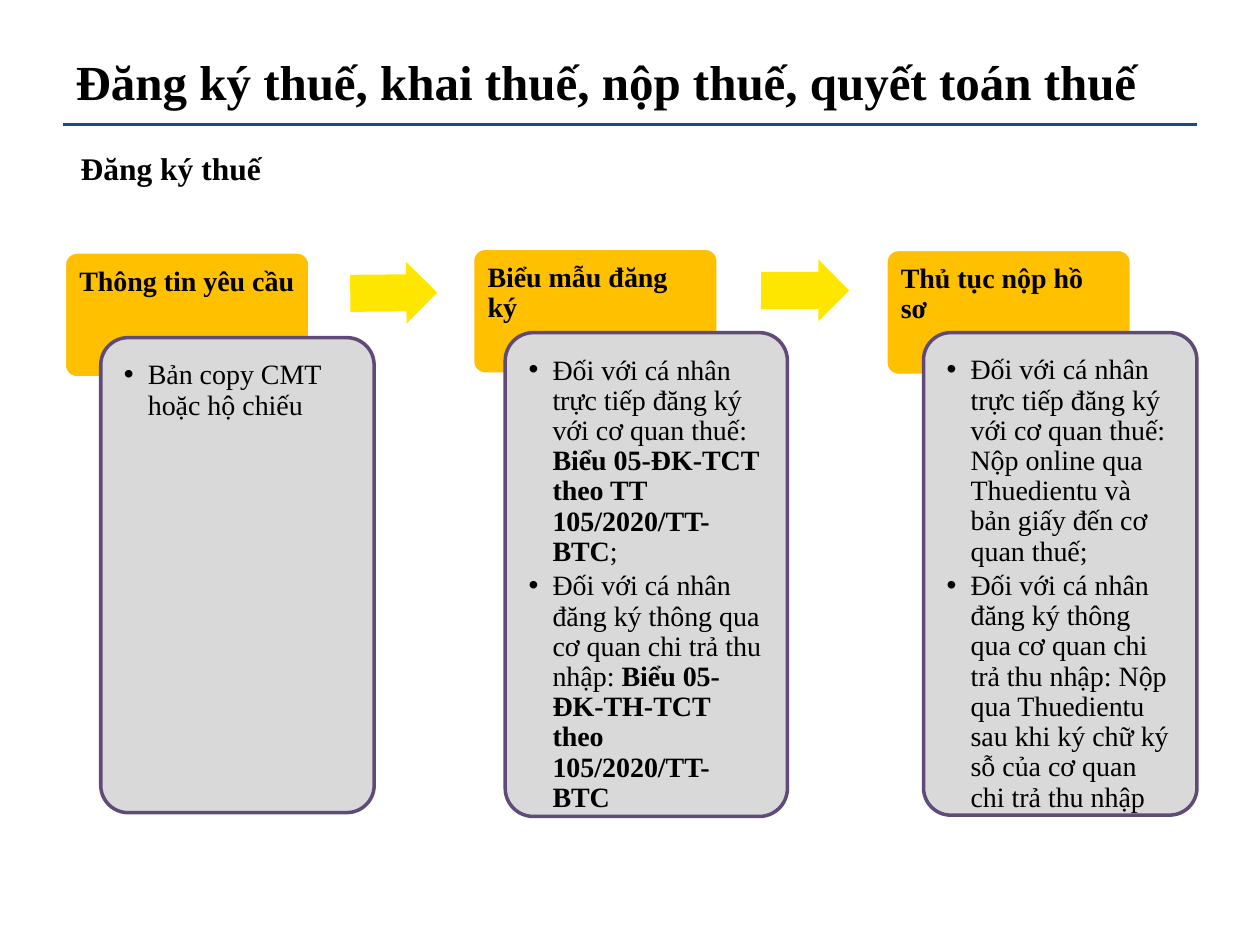
from dataclasses import dataclass

from lxml import etree
from pptx import Presentation
from pptx.dml.color import RGBColor
from pptx.enum.shapes import MSO_CONNECTOR, MSO_SHAPE
from pptx.enum.text import MSO_ANCHOR, MSO_AUTO_SIZE, PP_ALIGN
from pptx.oxml.ns import qn
from pptx.util import Inches, Pt

ROUND, ARROW = MSO_SHAPE.ROUNDED_RECTANGLE, MSO_SHAPE.RIGHT_ARROW
TOP, MIDDLE, LEFT = MSO_ANCHOR.TOP, MSO_ANCHOR.MIDDLE, PP_ALIGN.LEFT
STRAIGHT, FIXED = MSO_CONNECTOR.STRAIGHT, MSO_AUTO_SIZE.NONE
FONT = "Times New Roman"
BLACK, WHITE, NAVY = "000000", "FFFFFF", "1F497D"
GOLD, YELLOW, GREY, PURPLE = "FFC000", "FFE600", "D9D9D9", "5F4A78"

Box = tuple[float, float, float, float]


@dataclass
class Step:
    head: str
    tab: Box
    items: list[str]
    card: Box


@dataclass
class Arrow:
    box: Box
    turn: float


STEPS = [
    Step("Thông tin yêu cầu", (0.51, 2, 1.95, 1),
         ["Bản copy CMT hoặc hộ chiếu"], (0.8, 2.68, 2.17, 3.77)),
    Step("Biểu mẫu đăng ký", (3.75, 1.97, 1.95, 1),
         ["Đối với cá nhân trực tiếp đăng ký với cơ quan thuế: "
          "*Biểu 05-ĐK-TCT theo TT 105/2020/TT-BTC*;",
          "Đối với cá nhân đăng ký thông qua cơ quan chi trả thu nhập: "
          "*Biểu 05-ĐK-TH-TCT theo 105/2020/TT-BTC*"],
         (4.01, 2.64, 2.24, 3.84)),
    Step("Thủ tục nộp hồ sơ", (7.03, 1.98, 1.95, 1),
         ["Đối với cá nhân trực tiếp đăng ký với cơ quan thuế: "
          "Nộp online qua Thuedientu và bản giấy đến cơ quan thuế;",
          "Đối với cá nhân đăng ký thông qua cơ quan chi trả thu nhập: "
          "Nộp qua Thuedientu sau khi ký chữ ký sỗ của cơ quan chi trả "
          "thu nhập"],
         (7.33, 2.64, 2.17, 3.83)),
]
ARROWS = [Arrow((2.78, 2.08, 0.69, 0.49), 359.5),
          Arrow((6.04, 2.06, 0.7, 0.49), 0.1)]


def color(code: str) -> RGBColor:
    return RGBColor.from_string(code)


def place(shape, box: Box) -> None:
    shape.left, shape.top, shape.width, shape.height = map(Inches, box)


def set_mark(para, mark: str | None) -> None:
    """Give the paragraph a hanging bullet, or none."""
    props = para._p.get_or_add_pPr()
    hang = Inches(0.19) if mark else 0
    props.set("marL", str(hang))
    props.set("indent", str(-hang))
    if mark:
        etree.SubElement(props, qn("a:buFont"), typeface="Arial")
        etree.SubElement(props, qn("a:buChar"), char=mark)
    else:
        etree.SubElement(props, qn("a:buNone"))


def write(shape, lines: list[str], size: float = 16, bold: bool = False,
          pad: Box = (0, 0, 0, 0), anchor=TOP, lead: float = 0.9,
          after: float = 0, mark: str | None = None) -> None:
    """Fill the shape with paragraphs; text between asterisks is bold."""
    frame = shape.text_frame
    frame.word_wrap, frame.auto_size = True, FIXED
    frame.vertical_anchor = anchor
    (frame.margin_left, frame.margin_top,
     frame.margin_right, frame.margin_bottom) = map(Inches, pad)
    for num, line in enumerate(lines):
        para = frame.add_paragraph() if num else frame.paragraphs[0]
        set_mark(para, mark)
        para.alignment, para.line_spacing = LEFT, lead
        para.space_before, para.space_after = Pt(0), Pt(after)
        for part, text in enumerate(line.split("*")):
            if text:
                run = para.add_run()
                run.text = text
                font = run.font
                font.name, font.size = FONT, Pt(size)
                font.bold = bold or part % 2 == 1
                font.color.rgb = color(BLACK)


def add_shape(slide, kind, box: Box, fill: str, line: str | None = None,
              adjust: tuple[float, ...] = (0.1,)):
    shape = slide.shapes.add_shape(kind, *map(Inches, box))
    shape.shadow.inherit = False
    for num, value in enumerate(adjust):
        shape.adjustments[num] = value
    shape.fill.solid()
    shape.fill.fore_color.rgb = color(fill)
    if line:
        shape.line.color.rgb = color(line)
        shape.line.width = Pt(2)
    else:
        shape.line.fill.background()
    return shape


def add_rule(slide, left: float, right: float, top: float) -> None:
    rule = slide.shapes.add_connector(
        STRAIGHT, Inches(left), Inches(top), Inches(right), Inches(top))
    rule.line.color.rgb = color(NAVY)
    rule.line.width = Pt(1.5)
    etree.SubElement(rule._element.spPr, qn("a:effectLst"))


def add_step(slide, step: Step) -> None:
    tab = add_shape(slide, ROUND, step.tab, GOLD, WHITE)
    write(tab, [step.head], bold=True, pad=(0.09, 0.09, 0.09, 0.07))
    card = add_shape(slide, ROUND, step.card, GREY, PURPLE)
    write(card, step.items, pad=(0.12,) * 4, after=2.4, mark="•")


def add_arrow(slide, arrow: Arrow) -> None:
    shape = add_shape(slide, ARROW, arrow.box, YELLOW, adjust=(0.6, 0.5))
    shape.rotation = arrow.turn


def main() -> None:
    deck = Presentation()
    deck.slide_width, deck.slide_height = Inches(10), Inches(7.5)
    slide = deck.slides.add_slide(deck.slide_layouts[1])
    title, body = slide.placeholders
    place(title, (0.5, 0.32, 9, 0.65))
    write(title, ["Đăng ký thuế, khai thuế, nộp thuế, quyết toán thuế"],
          size=28, bold=True, pad=(0.1, 0.05, 0.1, 0.05),
          anchor=MIDDLE, lead=1.0)
    place(body, (0.64, 1.19, 8.86, 0.5))
    write(body, ["Đăng ký thuế"], size=18, bold=True,
          pad=(0, 0.04, 0, 0), lead=0.85)
    add_rule(slide, 0.5, 9.5, 0.99)
    for step in STEPS:
        add_step(slide, step)
    for arrow in ARROWS:
        add_arrow(slide, arrow)
    deck.save("out.pptx")


if __name__ == "__main__":
    main()
